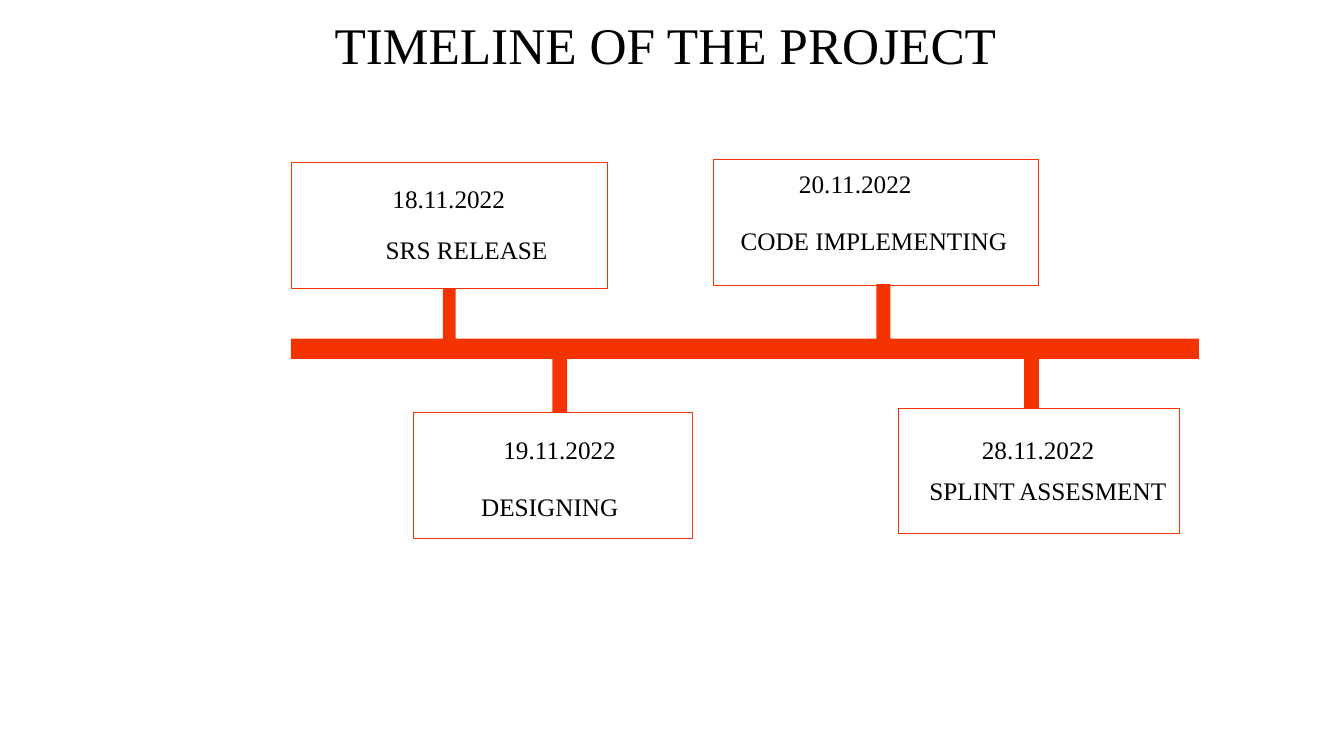
from dataclasses import dataclass

from pptx import Presentation
from pptx.dml.color import RGBColor
from pptx.enum.shapes import MSO_SHAPE
from pptx.enum.text import MSO_ANCHOR, PP_ALIGN
from pptx.util import Pt

PX = 9144


@dataclass(frozen=True)
class Theme:
    """Colours, font and type sizes of the slide."""
    accent: RGBColor = RGBColor(0xF4, 0x33, 0x00)
    ink: RGBColor = RGBColor(0, 0, 0)
    font: str = "Times New Roman"
    title: int = 55
    body: int = 27


THEME = Theme()


def style_paragraph(p, text, size, indent=0):
    """Fill a left-aligned paragraph with text in the slide's font."""
    p.text = text
    p.alignment = PP_ALIGN.LEFT
    p.font.name = THEME.font
    p.font.size = Pt(size)
    p.font.color.rgb = THEME.ink
    p._p.get_or_add_pPr().set("marL", str(indent * PX))


def prepare_frame(tf, top):
    """Anchor a text frame at the top with only a top inset."""
    tf.word_wrap = True
    tf.vertical_anchor = MSO_ANCHOR.TOP
    tf.margin_left = tf.margin_right = tf.margin_bottom = 0
    tf.margin_top = top * PX


def add_title(slide, box, text):
    """Write the slide title in its box."""
    tf = slide.shapes.add_textbox(*(v * PX for v in box)).text_frame
    prepare_frame(tf, 1)
    style_paragraph(tf.paragraphs[0], text, THEME.title, 1)


def add_spine(slide, box, upper, lower):
    """Draw the bar with (offset, width, length) stems above and below it."""
    x, y, w, h = box
    points = [(x, y)]
    for dx, width, length in upper:
        left, right = x + dx, x + dx + width
        points += [(left, y), (left, y - length), (right, y - length), (right, y)]
    bottom = y + h
    points += [(x + w, y), (x + w, bottom)]
    for dx, width, length in reversed(lower):
        left, right = x + dx, x + dx + width
        points += [(right, bottom), (right, bottom + length),
                   (left, bottom + length), (left, bottom)]
    points.append((x, bottom))
    builder = slide.shapes.build_freeform(*points[0], scale=PX)
    builder.add_line_segments(points[1:], close=True)
    sp = builder.convert_to_shape()
    sp.shadow.inherit = False
    sp.fill.solid()
    sp.fill.fore_color.rgb = THEME.accent
    sp.line.fill.background()


def add_milestone(slide, box, date, label, top, indents, gap, line=0.73):
    """Draw an outlined box holding a date and a label."""
    sp = slide.shapes.add_shape(MSO_SHAPE.RECTANGLE, *(v * PX for v in box))
    sp.shadow.inherit = False
    sp.fill.background()
    sp.line.color.rgb = THEME.accent
    sp.line.width = Pt(line)
    tf = sp.text_frame
    prepare_frame(tf, top)
    style_paragraph(tf.paragraphs[0], date, THEME.body, indents[0])
    p = tf.add_paragraph()
    style_paragraph(p, label, THEME.body, indents[1])
    p.space_before = Pt(gap)


def main():
    """Build and save the timeline slide."""
    prs = Presentation()
    prs.slide_width, prs.slide_height = 2000 * PX, 1125 * PX
    slide = prs.slides.add_slide(prs.slide_layouts[6])
    add_title(slide, (497, 18, 989, 94), "TIMELINE OF THE PROJECT")
    add_spine(slide, (433, 504, 1351, 30),
              upper=[(226, 19, 75), (871, 21, 81)],
              lower=[(389, 22, 79), (1091, 22, 74)])
    add_milestone(slide, (433, 242, 471, 187), "18.11.2022", "SRS RELEASE",
                  31, (151, 141), 22.2)
    add_milestone(slide, (615, 614, 415, 187), "19.11.2022", "DESIGNING",
                  33, (134, 101), 28.3)
    add_milestone(slide, (1062, 237, 483, 187), "20.11.2022", "CODE IMPLEMENTING",
                  14, (127, 40), 28.2)
    add_milestone(slide, (1337, 608, 418, 185), "28.11.2022", "SPLINT ASSESMENT",
                  38, (124, 46), 12.2, line=0.59)
    prs.save("out.pptx")


if __name__ == "__main__":
    main()
